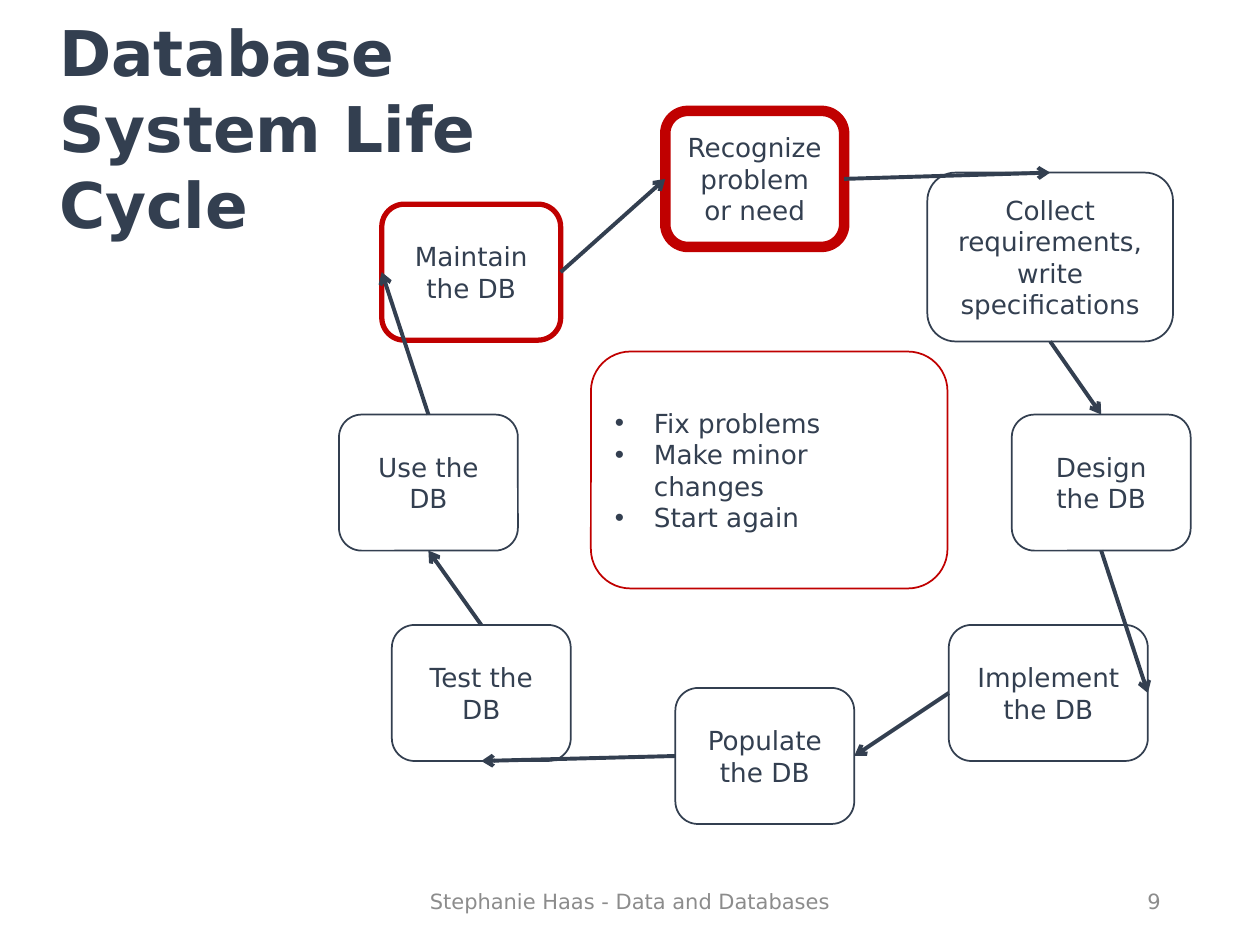
import pptx
import pptx.util
import pptx.dml.color
import pptx.enum.shapes
import pptx.enum.text
from lxml import etree
from pptx.oxml.ns import qn

Inches, Pt = pptx.util.Inches, pptx.util.Pt
ALIGN = pptx.enum.text.PP_ALIGN
ANCHOR = pptx.enum.text.MSO_ANCHOR

FONT = "DejaVu Sans"
COLORS = {"ink": "333F50", "red": "C00000", "grey": "8C8C8C"}
STEP_W, STEP_H = 1.42, 1.08
TOP, LEFT, BOTTOM, RIGHT = range(4)

# Steps in cycle order: text, left, top, width, height, line colour, line
# width, side where the arrow leaves, side where the next arrow arrives
STEPS = [
    ("Recognize problem or need", 5.28, 0.88, STEP_W, STEP_H, "red", 6, RIGHT, LEFT),
    ("Collect requirements, write specifications", 7.36, 1.37, 1.95, 1.34, "ink", 1, BOTTOM, TOP),
    ("Design the DB", 8.03, 3.29, STEP_W, STEP_H, "ink", 1, BOTTOM, TOP),
    ("Implement the DB", 7.53, 4.96, 1.58, STEP_H, "ink", 1, LEFT, RIGHT),
    ("Populate the DB", 5.36, 5.46, STEP_W, STEP_H, "ink", 1, LEFT, RIGHT),
    ("Test the DB", 3.11, 4.96, STEP_W, STEP_H, "ink", 1, TOP, BOTTOM),
    ("Use the DB", 2.69, 3.29, STEP_W, STEP_H, "ink", 1, TOP, BOTTOM),
    ("Maintain the DB", 3.03, 1.62, STEP_W, STEP_H, "red", 3, RIGHT, LEFT),
]
ACTIONS = ["Fix problems", "Make minor changes", "Start again"]


def rgb(name):
    return pptx.dml.color.RGBColor.from_string(COLORS[name])


def write(tf, lines, size, color, align, anchor, bold=False):
    tf.word_wrap = True
    tf.vertical_anchor = anchor
    tf.text = "\n".join(lines)
    for p in tf.paragraphs:
        p.alignment = align
        p.font.name, p.font.size, p.font.bold = FONT, Pt(size), bold
        p.font.color.rgb = rgb(color)


def add_title(s, text, box):
    sp = s.shapes.title
    sp.left, sp.top, sp.width, sp.height = map(Inches, box)
    write(sp.text_frame, [text], 36, "ink", ALIGN.LEFT, ANCHOR.TOP, bold=True)
    sp.text_frame.auto_size = pptx.enum.text.MSO_AUTO_SIZE.NONE


def add_box(s, lines, box, color, weight, align=ALIGN.CENTER):
    kind = pptx.enum.shapes.MSO_SHAPE.ROUNDED_RECTANGLE
    sp = s.shapes.add_shape(kind, *map(Inches, box))
    sp.shadow.inherit = False
    sp.fill.background()
    sp.line.color.rgb = rgb(color)
    sp.line.width = Pt(weight)
    write(sp.text_frame, lines, 15, "ink", align, ANCHOR.MIDDLE)
    return sp


def add_bullets(tf, indent):
    for p in tf.paragraphs:
        pPr = p._p.get_or_add_pPr()
        pPr.set("marL", str(Inches(indent)))
        pPr.set("indent", str(-Inches(indent)))
        font = etree.Element(qn("a:buFont"), typeface="Arial")
        char = etree.Element(qn("a:buChar"), char="•")
        pPr.insert(0, font)
        pPr.insert(1, char)


def add_arrow(s, start, start_side, end, end_side):
    c = s.shapes.add_connector(pptx.enum.shapes.MSO_CONNECTOR.STRAIGHT, 0, 0, 0, 0)
    c.begin_connect(start, start_side)
    c.end_connect(end, end_side)
    c.line.color.rgb = rgb("ink")
    c.line.width = Pt(2.25)
    etree.SubElement(c.line._get_or_add_ln(), qn("a:tailEnd"), type="arrow")
    etree.SubElement(c._element.spPr, qn("a:effectLst"))


def add_footer(s, text, box, align):
    sp = s.shapes.add_textbox(*map(Inches, box))
    write(sp.text_frame, [text], 12, "grey", align, ANCHOR.MIDDLE)


def main():
    prs = pptx.Presentation()
    prs.slide_width, prs.slide_height = Inches(10), Inches(7.5)
    s = prs.slides.add_slide(prs.slide_layouts[5])
    add_title(s, "Database System Life Cycle", (0.37, 0.06, 3.54, 1.92))

    # Cycle of steps
    boxes = [add_box(s, [text], place, color, weight)
             for text, *place, color, weight, _, _ in STEPS]

    # Arrows from each step to the next
    for i, step in enumerate(STEPS):
        j = (i + 1) % len(STEPS)
        add_arrow(s, boxes[i], step[-2], boxes[j], STEPS[j][-1])

    # Maintenance actions in the centre
    centre = add_box(s, ACTIONS, (4.69, 2.79, 2.83, 1.88), "red", 1, ALIGN.LEFT)
    add_bullets(centre.text_frame, 0.31)

    # Footer
    add_footer(s, "Stephanie Haas - Data and Databases", (3.31, 6.95, 3.38, 0.4), ALIGN.CENTER)
    add_footer(s, "9", (7.06, 6.95, 2.25, 0.4), ALIGN.RIGHT)

    prs.save("out.pptx")


if __name__ == "__main__":
    main()
